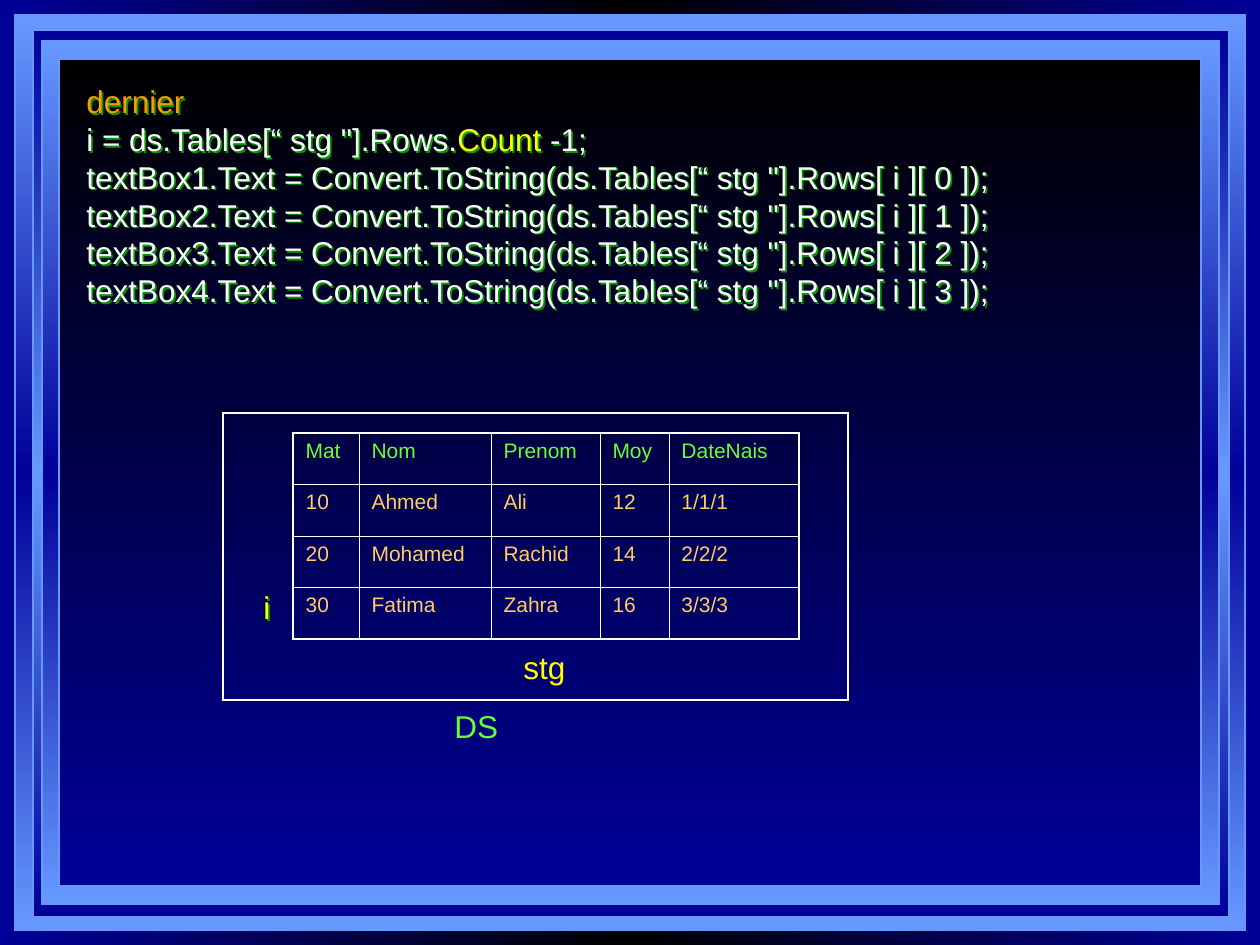
from lxml import etree
from pptx import Presentation
from pptx import util as u
from pptx.dml import color as dml
from pptx.enum import shapes, text
from pptx.oxml import ns

# Content
COLORS = {
    "navy": "000099", "black": "000000", "sky": "6699FF", "white": "FFFFFF",
    "yellow": "FFFF00", "orange": "FF9900", "sand": "FFCC66",
    "lime": "66FF33", "shadow": "009900",
}
FONT = "Arial"
CODE = [
    [("dernier", "orange")],
    [('i = ds.Tables[“ stg "].Rows.', "white"), ("Count", "yellow"), (" -1;", "white")],
] + [
    [(f'textBox{i + 1}.Text = Convert.ToString(ds.Tables[“ stg "].Rows[ i ][ {i} ]);', "white")]
    for i in range(4)
]
TRAINEES = [
    ("Mat", "Nom", "Prenom", "Moy", "DateNais"),
    ("10", "Ahmed", "Ali", "12", "1/1/1"),
    ("20", "Mohamed", "Rachid", "14", "2/2/2"),
    ("30", "Fatima", "Zahra", "16", "3/3/3"),
]

# Geometry in px (126 to the inch)
EMU_PER_PX = 914400 / 126
SLIDE_SIZE = (1260, 945)
SKY_ENDS = ("sky", "navy", "sky")
NAVY_ENDS = ("navy", "sky", "navy")
FRAMES = [
    ((15, 15, 1230, 915), SKY_ENDS),
    ((33, 30, 1196, 887), NAVY_ENDS),
    ((42, 41, 1177, 863), SKY_ENDS),
    ((59, 59, 1142, 827), ("black", "navy")),
]
CODE_BOX = (74, 76, 1111, 277)
DATASET_BOX = (223, 413, 625, 287)
TABLE_ORIGIN = (293, 433)
COLUMN_WIDTHS = (66, 132, 109, 69, 130)
ROW_HEIGHT = 51.5
# Label boxes are a little wider than their words, so none can wrap
LABELS = [
    ("stg", (511, 642, 76, 50), "yellow", False),
    ("DS", (442, 701, 78, 50), "lime", False),
    ("i", (251, 582, 38, 50), "yellow", True),
]


def px(value):
    return u.Emu(round(value * EMU_PER_PX))


def box(bounds):
    return [px(value) for value in bounds]


def rgb(name):
    return dml.RGBColor.from_string(COLORS[name])


def add_element(parent, tag, **attributes):
    return etree.SubElement(parent, ns.qn(tag), {k: str(v) for k, v in attributes.items()})


def set_gradient(fill, owner, names, angle):
    """Spread the named colours evenly; angle is clockwise in degrees."""
    fill.gradient()
    gradient = next(owner.iter(ns.qn("a:gradFill")))
    for child in list(gradient):
        gradient.remove(child)
    stops = add_element(gradient, "a:gsLst")
    for i, name in enumerate(names):
        stop = add_element(stops, "a:gs", pos=i * 100000 // (len(names) - 1))
        add_element(stop, "a:srgbClr", val=COLORS[name])
    add_element(gradient, "a:lin", ang=angle * 60000, scaled=0)


def add_shadow(shape):
    effects = add_element(shape._element.spPr, "a:effectLst")
    shadow = add_element(effects, "a:outerShdw", dist=17961, dir=2700000, algn="ctr", rotWithShape=0)
    add_element(shadow, "a:srgbClr", val=COLORS["shadow"])


def write(frame, lines, size=18):
    """Fill a text frame with lines, each a list of (text, colour) runs."""
    for i, line in enumerate(lines):
        paragraph = frame.paragraphs[0] if i == 0 else frame.add_paragraph()
        for words, color in line:
            run = paragraph.add_run()
            run.text = words
            run.font.name, run.font.size, run.font.bold = FONT, u.Pt(size), False
            run.font.color.rgb = rgb(color)


def add_text(slide, bounds, lines, shadow=False):
    shape = slide.shapes.add_textbox(*box(bounds))
    shape.text_frame.word_wrap = True
    shape.text_frame.auto_size = text.MSO_AUTO_SIZE.NONE
    write(shape.text_frame, lines)
    if shadow:
        add_shadow(shape)


def add_rectangle(slide, bounds, line_color, line_width):
    shape = slide.shapes.add_shape(shapes.MSO_SHAPE.RECTANGLE, *box(bounds))
    shape.shadow.inherit = False
    shape.fill.background()
    shape.line.color.rgb = rgb(line_color)
    shape.line.width = u.Pt(line_width)
    add_element(shape.line._get_or_add_ln(), "a:miter", lim=800000)
    return shape


def set_borders(cell, outer_sides):
    properties = cell._tc.get_or_add_tcPr()
    for side in "LRTB":
        width = u.Pt(1.08 if side in outer_sides else 0.45)
        line = add_element(properties, f"a:ln{side}", w=int(width))
        add_element(add_element(line, "a:solidFill"), "a:srgbClr", val=COLORS["white"])


def add_trainee_table(slide):
    last_row, last_column = len(TRAINEES) - 1, len(COLUMN_WIDTHS) - 1
    size = (sum(COLUMN_WIDTHS), ROW_HEIGHT * len(TRAINEES))
    table = slide.shapes.add_table(last_row + 1, last_column + 1, *box(TABLE_ORIGIN + size)).table
    table.first_row = table.horz_banding = False
    for column, width in zip(table.columns, COLUMN_WIDTHS):
        column.width = px(width)
    for r, values in enumerate(TRAINEES):
        table.rows[r].height = px(ROW_HEIGHT)
        for c, value in enumerate(values):
            cell = table.cell(r, c)
            edges = {"L": c == 0, "R": c == last_column, "T": r == 0, "B": r == last_row}
            set_borders(cell, [side for side, outer in edges.items() if outer])
            cell.fill.background()
            write(cell.text_frame, [[(value, "sand" if r else "lime")]], size=12)


def main():
    presentation = Presentation()
    presentation.slide_width, presentation.slide_height = box(SLIDE_SIZE)
    slide = presentation.slides.add_slide(presentation.slide_layouts[6])

    # Background and nested frames
    set_gradient(slide.background.fill, slide._element, ("navy", "black", "navy"), 0)
    for bounds, names in FRAMES:
        frame = add_rectangle(slide, bounds, "sky", 1)
        set_gradient(frame.fill, frame._element, names, 90)

    # Code
    add_text(slide, CODE_BOX, CODE, shadow=True)

    # Dataset diagram
    add_trainee_table(slide)
    add_rectangle(slide, DATASET_BOX, "white", 0.75)
    for words, bounds, color, shadow in LABELS:
        add_text(slide, bounds, [[(words, color)]], shadow=shadow)

    presentation.save("out.pptx")


if __name__ == "__main__":
    main()
